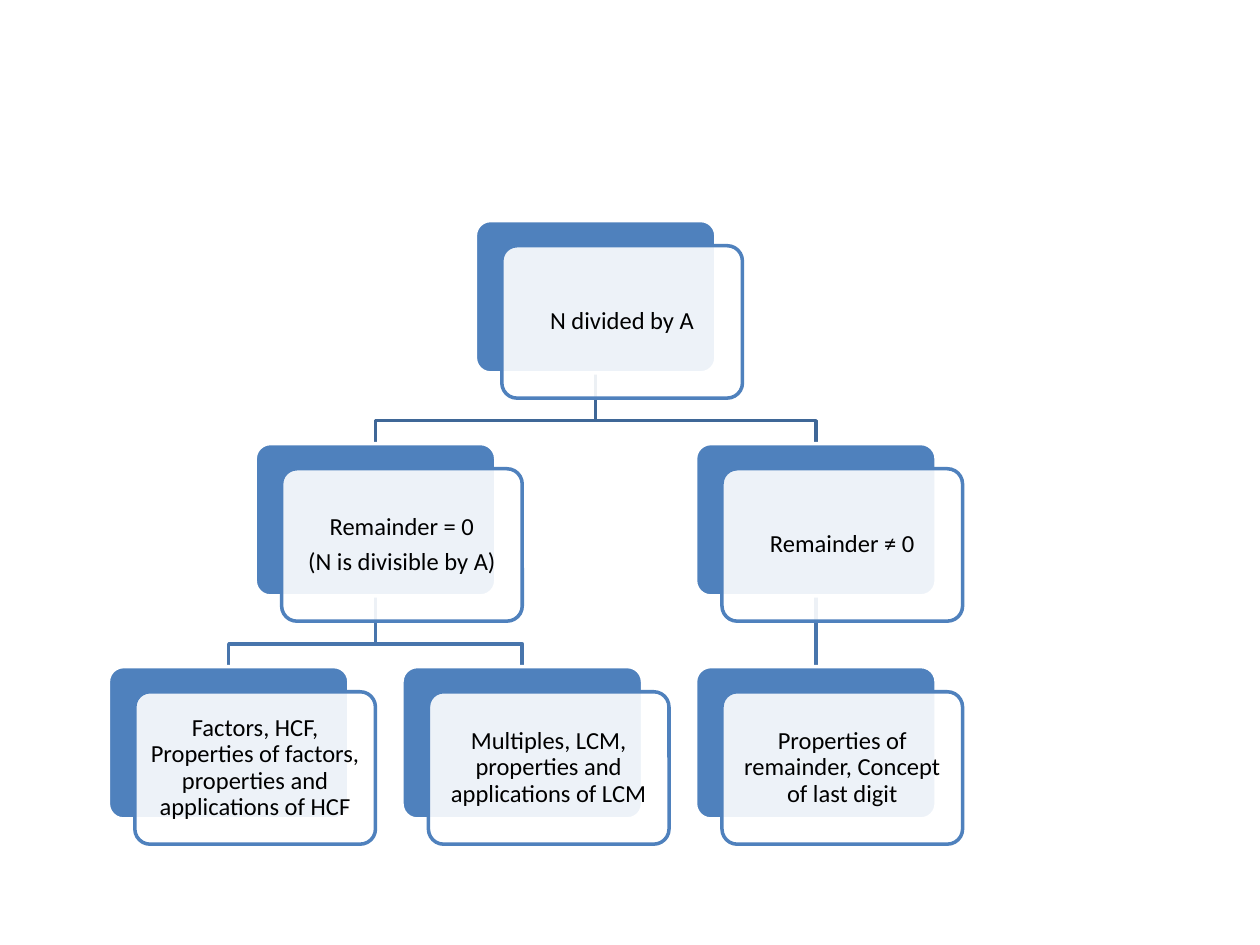
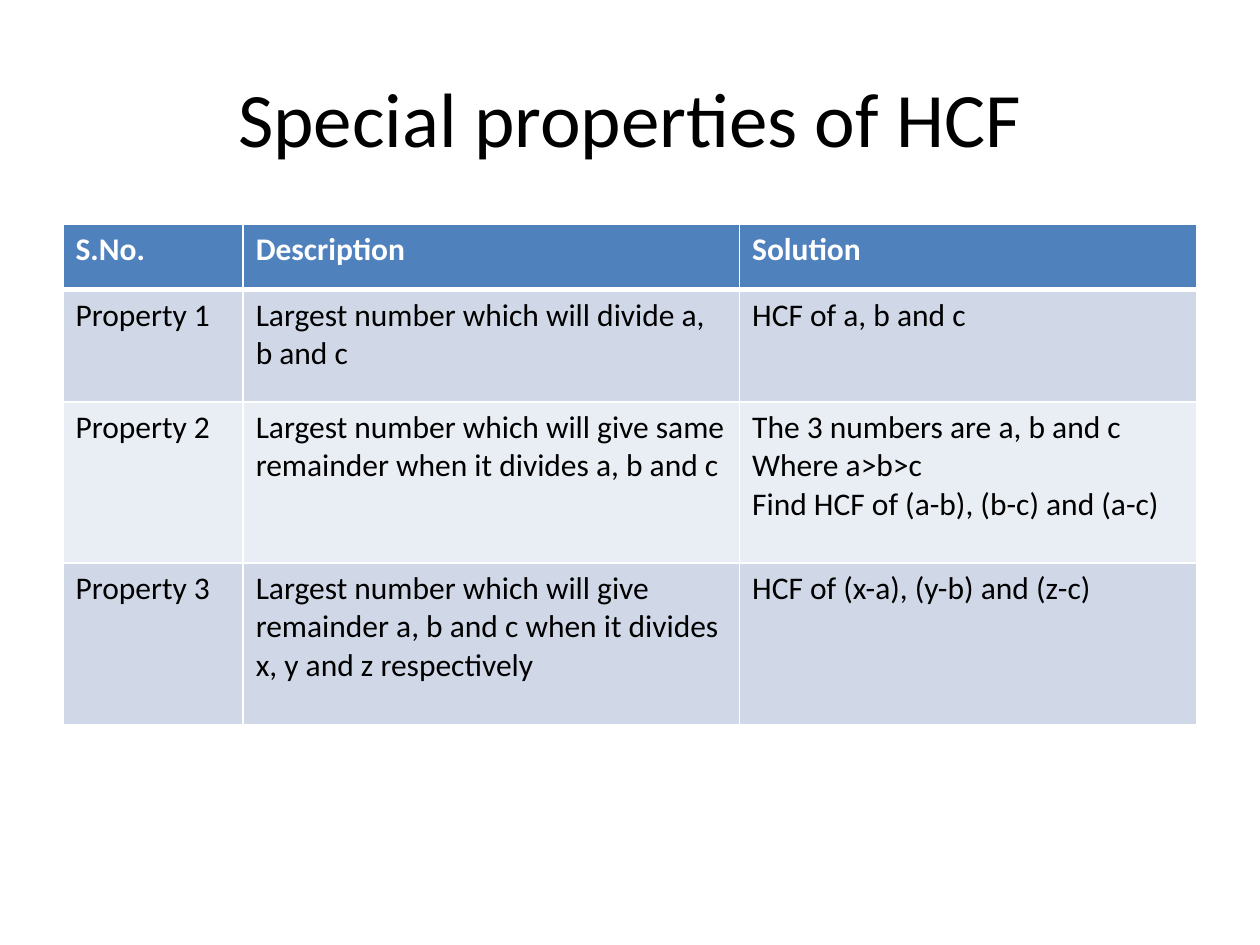
from pptx import Presentation
from pptx.dml.color import RGBColor
from pptx.enum.shapes import MSO_CONNECTOR, MSO_SHAPE
from pptx.enum.text import MSO_ANCHOR, PP_ALIGN
from pptx.oxml.ns import qn
from pptx.util import Inches, Pt
from lxml.etree import SubElement

WHITE = RGBColor(0xFF, 0xFF, 0xFF)
BLACK = RGBColor(0x00, 0x00, 0x00)
BLUE = RGBColor(0x4F, 0x81, 0xBD)
UPPER_LINK = RGBColor(0x3F, 0x67, 0x97)
LOWER_LINK = RGBColor(0x48, 0x75, 0xAC)
BAND_DARK = RGBColor(0xD0, 0xD8, 0xE8)
BAND_LIGHT = RGBColor(0xE9, 0xED, 0xF4)
FONT = "Calibri"

BOX_WIDTH, BOX_HEIGHT = 1.91, 1.21
TREE_LEFT, TREE_TOP = 0.86, 1.75
COLUMN_STEP, LEVEL_STEP = 2.33, 1.77
CARD_SHIFT_X, CARD_SHIFT_Y = 0.21, 0.2
BEND_DROP = 0.38

NODES = {
    "root": (1.25, 0, "N divided by A"),
    "divisible": (0.5, 1, "Remainder = 0\n(N is divisible by A)"),
    "factors": (0, 2, "Factors, HCF, Properties of factors, properties and applications of HCF"),
    "multiples": (1, 2, "Multiples, LCM, properties and applications of LCM"),
    "not divisible": (2, 1, "Remainder ≠ 0"),
    "remainder": (2, 2, "Properties of remainder, Concept of last digit"),
}
LINKS = [
    ("not divisible", "remainder"),
    ("root", "not divisible"),
    ("divisible", "multiples"),
    ("divisible", "factors"),
    ("root", "divisible"),
]
COLUMN_WIDTHS = [1.43, 3.94, 3.63]
ROW_HEIGHTS = [0.52, 0.89, 1.28, 1.28]
PROPERTIES = [
    ("S.No.", "Description", "Solution"),
    ("Property 1", "Largest number which will divide a, b and c", "HCF of a, b and c"),
    (
        "Property 2",
        "Largest number which will give same remainder when it divides a, b and c",
        "The 3 numbers are a, b and c\nWhere a>b>c\nFind HCF of (a-b), (b-c) and (a-c)",
    ),
    (
        "Property 3",
        "Largest number which will give remainder a, b and c when it divides x, y and z respectively",
        "HCF of (x-a), (y-b) and (z-c)",
    ),
]


def format_text(text_frame, size, color, bold=False, align=PP_ALIGN.LEFT):
    """Apply one font and alignment to every paragraph."""
    for paragraph in text_frame.paragraphs:
        paragraph.alignment = align
        for run in paragraph.runs:
            run.font.name = FONT
            run.font.size = Pt(size)
            run.font.bold = bold
            run.font.color.rgb = color


def node_position(name):
    """Return the left and top of a node in inches."""
    column, level, _ = NODES[name]
    return TREE_LEFT + column * COLUMN_STEP, TREE_TOP + level * LEVEL_STEP


def add_link(slide, parent, child):
    """Join a parent to a child with a straight or bent line."""
    parent_left, parent_top = node_position(parent)
    child_left, child_top = node_position(child)
    start_x, end_x = (Inches(left + BOX_WIDTH / 2) for left in (parent_left, child_left))
    start_y, end_y = Inches(parent_top + BOX_HEIGHT), Inches(child_top)
    if start_x == end_x:
        link = slide.shapes.add_connector(MSO_CONNECTOR.STRAIGHT, start_x, start_y, end_x, end_y)
        SubElement(link._element.spPr, qn("a:effectLst"))
    else:
        bend_y = start_y + Inches(BEND_DROP)
        builder = slide.shapes.build_freeform(start_x, start_y)
        builder.add_line_segments([(start_x, bend_y), (end_x, bend_y), (end_x, end_y)], close=False)
        link = builder.convert_to_shape()
        link.fill.background()
        link.shadow.inherit = False
    link.line.color.rgb = UPPER_LINK if parent == "root" else LOWER_LINK
    link.line.width = Pt(2)


def add_round_box(slide, left, top, fill, outline):
    """Add a rounded box of the tree's common size."""
    box = slide.shapes.add_shape(
        MSO_SHAPE.ROUNDED_RECTANGLE, Inches(left), Inches(top), Inches(BOX_WIDTH), Inches(BOX_HEIGHT)
    )
    box.adjustments[0] = 0.1
    box.shadow.inherit = False
    box.fill.solid()
    box.fill.fore_color.rgb = fill
    box.line.color.rgb = outline
    box.line.width = Pt(2)
    return box


def add_node(slide, name):
    """Add a blue box with a translucent text card in front."""
    left, top = node_position(name)
    add_round_box(slide, left, top, BLUE, WHITE)
    card = add_round_box(slide, left + CARD_SHIFT_X, top + CARD_SHIFT_Y, WHITE, BLUE)
    card_color = card._element.spPr.find(qn("a:solidFill")).find(qn("a:srgbClr"))
    SubElement(card_color, qn("a:alpha"), val="90000")
    text_frame = card.text_frame
    text_frame.text = NODES[name][2]
    text_frame.word_wrap = True
    text_frame.vertical_anchor = MSO_ANCHOR.MIDDLE
    text_frame.margin_left = text_frame.margin_right = Inches(0.06)
    text_frame.margin_top = text_frame.margin_bottom = Inches(0.06)
    format_text(text_frame, 14, BLACK, align=PP_ALIGN.CENTER)
    for paragraph in text_frame.paragraphs:
        paragraph.line_spacing = 0.9
        paragraph.space_after = Pt(4.9)


def set_borders(cell, top_width, bottom_width):
    """Give a cell white borders."""
    properties = cell._tc.get_or_add_tcPr()
    widths = {"a:lnL": 1, "a:lnR": 1, "a:lnT": top_width, "a:lnB": bottom_width}
    for index, (tag, width) in enumerate(widths.items()):
        border = SubElement(properties, qn(tag), w=str(Pt(width)))
        fill = SubElement(border, qn("a:solidFill"))
        SubElement(fill, qn("a:srgbClr"), val=str(WHITE))
        properties.insert(index, border)


def add_property_table(slide):
    """Add the banded table of properties."""
    table = slide.shapes.add_table(
        len(PROPERTIES), len(COLUMN_WIDTHS), Inches(0.5), Inches(1.78),
        Inches(sum(COLUMN_WIDTHS)), Inches(sum(ROW_HEIGHTS)),
    ).table
    for column, width in zip(table.columns, COLUMN_WIDTHS):
        column.width = Inches(width)
    for row_index, (row, height) in enumerate(zip(table.rows, ROW_HEIGHTS)):
        row.height = Inches(height)
        header = row_index == 0
        band = BLUE if header else BAND_DARK if row_index % 2 else BAND_LIGHT
        for cell, text in zip(row.cells, PROPERTIES[row_index]):
            cell.text_frame.text = text
            format_text(cell.text_frame, 18, WHITE if header else BLACK, bold=header)
            cell.fill.solid()
            cell.fill.fore_color.rgb = band
            set_borders(cell, 3 if row_index == 1 else 1, 3 if header else 1)


def add_tree_slide(presentation):
    """Build the slide with the division tree."""
    slide = presentation.slides.add_slide(presentation.slide_layouts[6])
    for parent, child in LINKS:
        add_link(slide, parent, child)
    for name in NODES:
        add_node(slide, name)


def add_table_slide(presentation):
    """Build the slide with the title and the property table."""
    slide = presentation.slides.add_slide(presentation.slide_layouts[5])
    title = slide.shapes.title
    title.left, title.top, title.width, title.height = map(Inches, (0.5, 0.3, 9, 1.25))
    title.text_frame.text = "Special properties of HCF"
    title.text_frame.vertical_anchor = MSO_ANCHOR.MIDDLE
    format_text(title.text_frame, 44, BLACK, align=PP_ALIGN.CENTER)
    add_property_table(slide)


def main():
    """Build and save the presentation."""
    presentation = Presentation()
    presentation.slide_width = Inches(10)
    presentation.slide_height = Inches(7.5)
    add_tree_slide(presentation)
    add_table_slide(presentation)
    presentation.save("out.pptx")


main()
